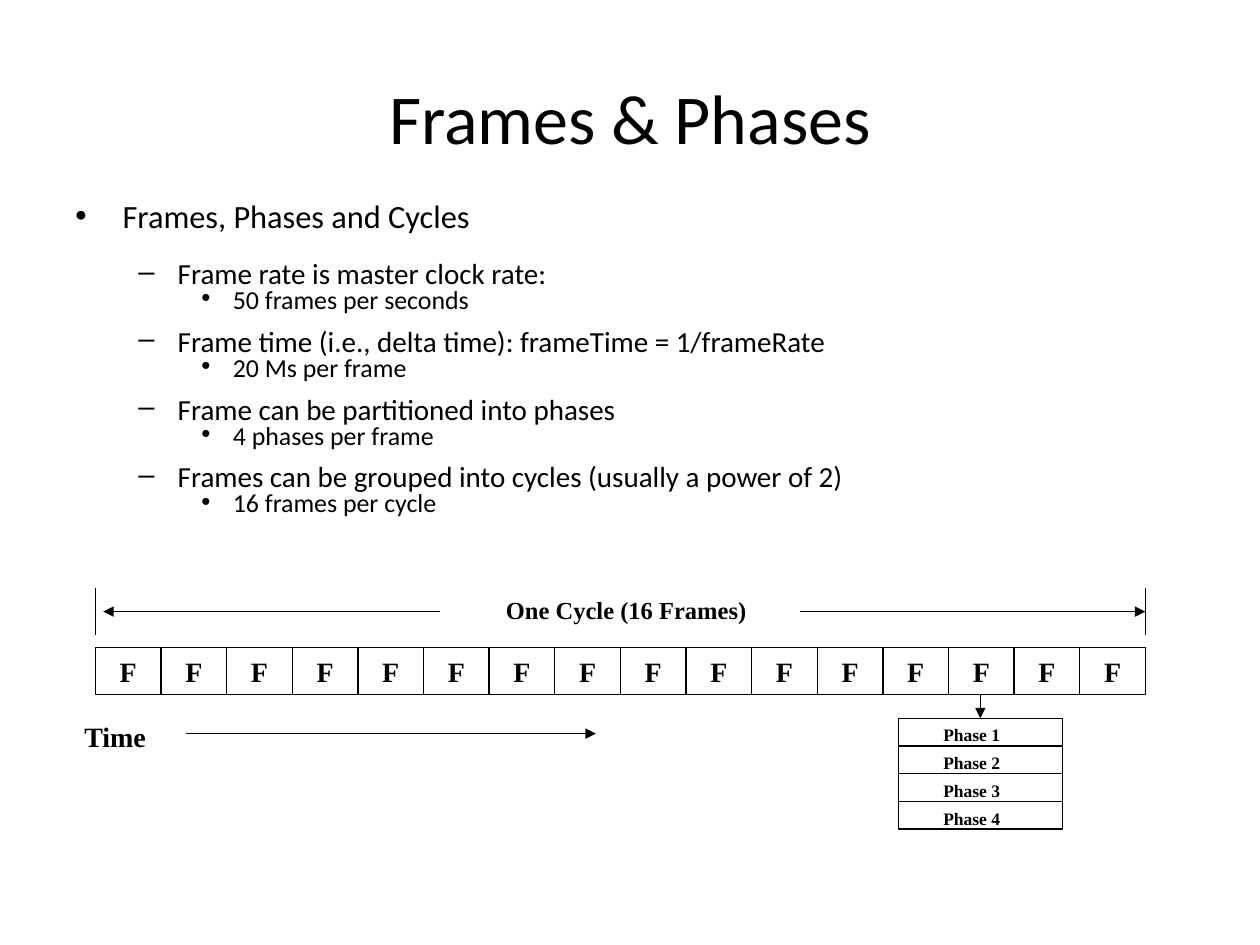
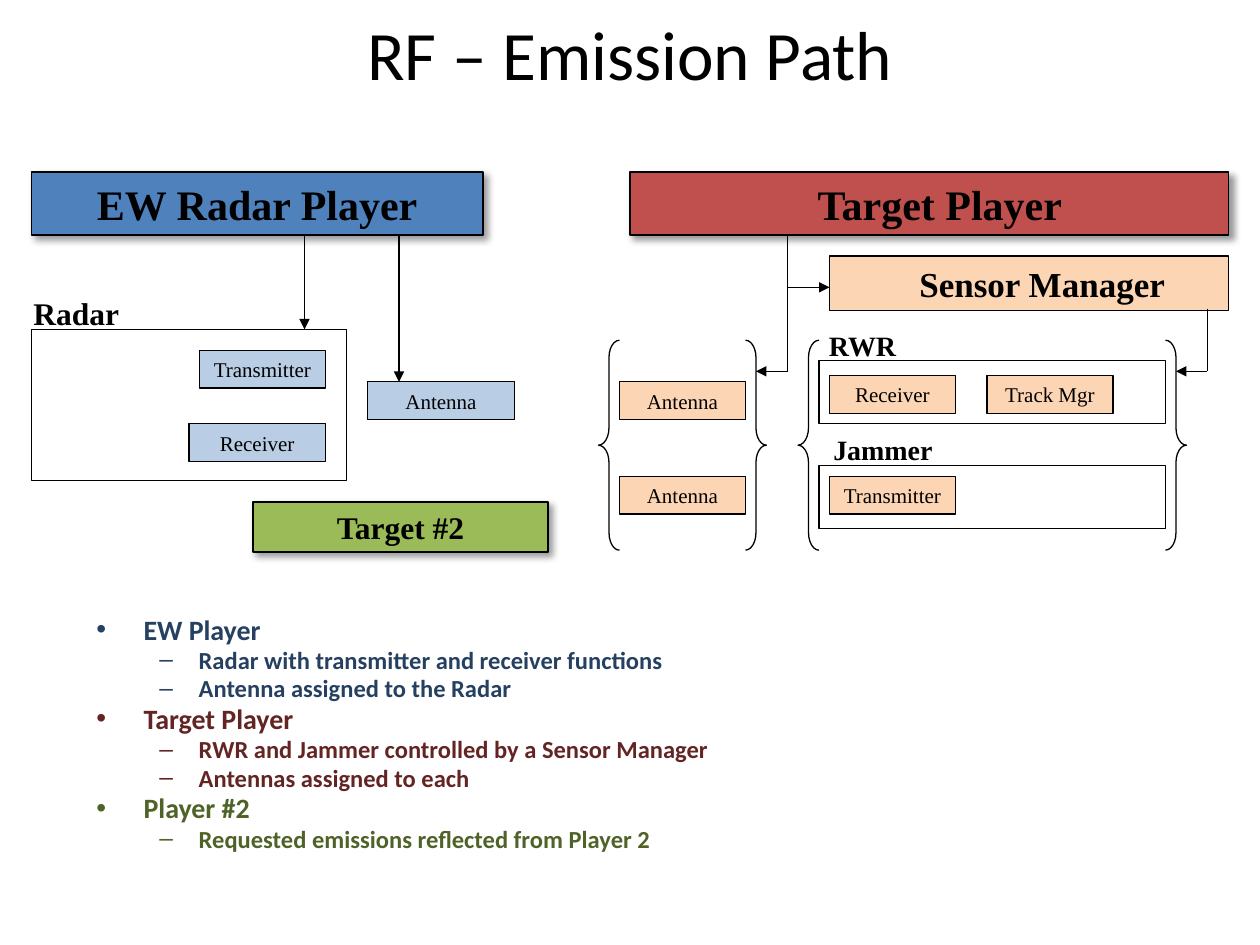
import pptx
import pptx.dml.color
import pptx.enum.shapes
import pptx.enum.text
import pptx.oxml
import pptx.oxml.ns
import pptx.util

Pt = pptx.util.Pt
SHAPE = pptx.enum.shapes.MSO_SHAPE
ALIGN = pptx.enum.text.PP_ALIGN
ANCHOR = pptx.enum.text.MSO_ANCHOR

SANS, SERIF = "Calibri", "Times New Roman"
BLACK, WHITE = "000000", "FFFFFF"
BLUE, RED, GREEN = "4F81BD", "C0504D", "9BBB59"
PALE_BLUE, PALE_ORANGE = "B9CDE5", "FCD5B5"
NAVY, MAROON, OLIVE = "254061", "632523", "4F6228"

# Outline levels: bullet, left margin, hanging indent
LEVELS = [("•", 27, 27), ("–", 58.5, 22.5), ("•", 90, 18)]


def color(hex_text):
    return pptx.dml.color.RGBColor.from_string(hex_text)


def add_xml(parent, xml):
    namespaces = pptx.oxml.ns.nsdecls("a")
    parent.append(pptx.oxml.parse_xml(xml.replace(" ", f" {namespaces} ", 1)))


def write(frame, text, size=12, font=SERIF, bold=False, ink=BLACK, align=ALIGN.LEFT,
          level=None, spacing=1.0, before=0, first=True):
    """Write one paragraph, bulleted when it has an outline level."""
    paragraph = frame.paragraphs[0] if first else frame.add_paragraph()
    paragraph.alignment = align
    paragraph.line_spacing = spacing
    paragraph.space_before = Pt(before)
    run = paragraph.add_run()
    run.text = text
    run.font.name, run.font.size, run.font.bold = font, Pt(size), bold
    run.font.color.rgb = color(ink)
    if level is not None:
        bullet, margin, hanging = LEVELS[level]
        paragraph.level = level
        properties = paragraph._p.get_or_add_pPr()
        properties.set("marL", str(Pt(margin)))
        properties.set("indent", str(-Pt(hanging)))
        add_xml(properties, '<a:buFont typeface="Arial"/>')
        add_xml(properties, f'<a:buChar char="{bullet}"/>')


class Deck:
    def __init__(self):
        self.show = pptx.Presentation()
        self.show.slide_width, self.show.slide_height = Pt(720), Pt(540)
        self.slide = None

    def start(self, title, top, height, size=40):
        self.slide = self.show.slides.add_slide(self.show.slide_layouts[6])
        self.label(title, 36, top, 648, height, anchor=ANCHOR.MIDDLE,
                   size=size, font=SANS, align=ALIGN.CENTER)

    def frame(self, shape, anchor, left=7.2, top=3.6, bottom=3.6):
        frame = shape.text_frame
        frame.word_wrap = True
        frame.vertical_anchor = anchor
        frame.margin_left, frame.margin_top, frame.margin_bottom = Pt(left), Pt(top), Pt(bottom)
        return frame

    def textbox(self, x, y, width, height, anchor=ANCHOR.TOP, **insets):
        box = self.slide.shapes.add_textbox(Pt(x), Pt(y), Pt(width), Pt(height))
        return self.frame(box, anchor, **insets)

    def label(self, text, x, y, width, height, anchor=ANCHOR.TOP, left=7.2, top=3.6, **style):
        write(self.textbox(x, y, width, height, anchor, left=left, top=top), text, **style)

    def outline(self, items, x, y, width, height, top=3.6):
        frame = self.textbox(x, y, width, height, top=top)
        for index, (text, style) in enumerate(items):
            write(frame, text, font=SANS, first=index == 0, **style)

    def shape(self, kind, x, y, width, height, fill=None, weight=0.75):
        shape = self.slide.shapes.add_shape(kind, Pt(x), Pt(y), Pt(width), Pt(height))
        shape.shadow.inherit = False
        if fill:
            shape.fill.solid()
            shape.fill.fore_color.rgb = color(fill)
        else:
            shape.fill.background()
        shape.line.color.rgb = color(BLACK)
        shape.line.width = Pt(weight)
        return shape

    def box(self, text, x, y, width, height, fill, weight=0.75, left=7.2, **style):
        shape = self.shape(SHAPE.RECTANGLE, x, y, width, height, fill, weight)
        frame = self.frame(shape, ANCHOR.MIDDLE, left=left, top=0, bottom=0)
        write(frame, text, align=ALIGN.CENTER, **style)
        return shape

    def banner(self, text, x, y, width, height, fill, **style):
        shape = self.box(text, x, y, width, height, fill, weight=1, bold=True, **style)
        effects = shape._element.spPr.find(pptx.oxml.ns.qn("a:effectLst"))
        add_xml(effects, f'<a:outerShdw blurRad="{Pt(4)}" dist="{Pt(3)}" dir="2700000" '
                         'algn="tl" rotWithShape="0"><a:srgbClr val="000000">'
                         '<a:alpha val="40000"/></a:srgbClr></a:outerShdw>')

    def brace(self, kind, x):
        brace = self.shape(kind, x, 194.4, 12, 120)
        brace.adjustments[0], brace.adjustments[1] = 0.83, 0.5

    def line(self, x1, y1, x2, y2, arrow=False):
        line = self.slide.shapes.add_connector(
            pptx.enum.shapes.MSO_CONNECTOR.STRAIGHT, Pt(x1), Pt(y1), Pt(x2), Pt(y2))
        line.line.color.rgb = color(BLACK)
        line.line.width = Pt(0.75)
        if arrow:
            add_xml(line.line._get_or_add_ln(), '<a:tailEnd type="triangle"/>')
        add_xml(line._element.spPr, "<a:effectLst />")


def frames_and_phases(deck):
    deck.start("Frames & Phases", 21.6, 90)

    # Outline: each topic with one example
    topics = [
        ("Frame rate is master clock rate:", "50 frames per seconds"),
        ("Frame time (i.e., delta time): frameTime = 1/frameRate", "20 Ms per frame"),
        ("Frame can be partitioned into phases", "4 phases per frame"),
        ("Frames can be grouped into cycles (usually a power of 2)", "16 frames per cycle"),
    ]
    items = [("Frames, Phases and Cycles", dict(size=18.5, level=0))]
    for index, (topic, example) in enumerate(topics):
        gap = 12.6 if index else 18.8
        items.append((topic, dict(size=16.6, level=1, spacing=0.6, before=gap)))
        items.append((example, dict(size=14.8, level=2, spacing=0.6, before=3.5)))
    deck.outline(items, 36, 90, 648, 221.8, top=22)

    # Cycle of frames
    frame_count, frame_width, cycle_left = 16, 37.5, 54.5
    cycle_right = cycle_left + frame_count * frame_width
    for index in range(frame_count):
        deck.box("F", cycle_left + index * frame_width, 370, frame_width, 27, WHITE,
                 size=16, bold=True)
    for edge in (cycle_left, cycle_right):
        deck.line(edge, 363, edge, 336)
    deck.line(251.3, 349.5, 59, 349.5, arrow=True)
    deck.line(457.2, 349.5, cycle_right, 349.5, arrow=True)
    deck.label("One Cycle (16 Frames)", 282, 336.2, 156, 24, size=14, bold=True)

    # Time axis
    deck.label("Time", 36, 404, 93.6, 30, left=12.2, top=7.2, size=16, bold=True)
    deck.line(106.5, 419.2, 340.5, 419.2, arrow=True)

    # Phases of one frame
    phases_left, phases_top, phases_width, phase_height = 513.4, 410.4, 93.6, 15.84
    deck.line(560.2, 397, 560.2, phases_top, arrow=True)
    deck.shape(SHAPE.RECTANGLE, phases_left, phases_top, phases_width, 4 * phase_height, WHITE)
    for index in range(4):
        top = phases_top + index * phase_height
        if index:
            deck.line(phases_left, top, phases_left + phases_width, top)
        deck.label(f"Phase {index + 1}", 532, top, 66, phase_height, size=10, bold=True)


def emission_path(deck):
    deck.start("RF – Emission Path", 5.8, 48.2, size=39.6)

    # Outline, one colour for each player
    players = [
        ("EW Player", NAVY, ["Radar with transmitter and receiver functions",
                             "Antenna assigned to the Radar"]),
        ("Target Player", MAROON, ["RWR and Jammer controlled by a Sensor Manager",
                                   "Antennas assigned to each"]),
        ("Player #2", OLIVE, ["Requested emissions reflected from Player 2"]),
    ]
    items = []
    for player, ink, details in players:
        shared = dict(bold=True, ink=ink, spacing=0.8)
        items.append((player, dict(size=16, level=0, before=3.2 if items else 0, **shared)))
        items += [(detail, dict(size=14, level=1, before=2.8, **shared)) for detail in details]
    deck.outline(items, 48, 350, 648, 154)

    # Subsystem frames and their names
    deck.label("Radar", 12, 164.2, 72, 28.8, size=18, bold=True)
    deck.label("RWR", 462, 182.2, 72, 28.8, left=11.7, top=5.4, size=16, bold=True)
    deck.label("Jammer", 461, 243.4, 91, 28.8, left=15.2, size=16, bold=True)
    deck.shape(SHAPE.RECTANGLE, 18, 188.2, 180, 86.4)
    for top in (206.2, 266.2):
        deck.shape(SHAPE.RECTANGLE, 468, top, 198, 36)

    # Components
    components = [
        ("Transmitter", 114, 200.2, 72, PALE_BLUE),
        ("Receiver", 108, 242.2, 78, PALE_BLUE),
        ("Antenna", 210, 218.2, 84, PALE_BLUE),
        ("Antenna", 354, 218.2, 72, PALE_ORANGE),
        ("Antenna", 354, 272.2, 72, PALE_ORANGE),
        ("Receiver", 474, 214.6, 72, PALE_ORANGE),
        ("Track Mgr", 564, 214.6, 72, PALE_ORANGE),
        ("Transmitter", 474, 272.2, 72, PALE_ORANGE),
    ]
    for name, x, y, width, fill in components:
        deck.box(name, x, y, width, 21.6, fill)

    # Braces around the antennas and the sensors
    for left, right in ((342, 426), (456, 666)):
        deck.brace(SHAPE.LEFT_BRACE, left)
        deck.brace(SHAPE.RIGHT_BRACE, right)

    # Players and sensor manager
    deck.banner("EW Radar Player", 18, 98.2, 258, 36, BLUE, size=24)
    deck.banner("Target Player", 360, 98.2, 342, 36, RED, size=24, left=19.2)
    deck.banner("Target #2", 144.6, 286.8, 168.6, 28.8, GREEN, size=18)
    deck.box("Sensor Manager", 474, 146.4, 228, 31, PALE_ORANGE, weight=1, left=22.2,
             size=20, bold=True)

    # Assignments
    deck.line(174, 134.2, 174, 188.2, arrow=True)
    deck.line(228, 134.2, 228, 218.2, arrow=True)
    deck.line(450, 134.2, 450, 212.2)
    deck.line(450, 164.2, 474, 164.2, arrow=True)
    deck.line(690, 176.4, 690, 212.2)
    for x in (450, 690):
        deck.line(x, 212.2, x - 18, 212.2, arrow=True)


def main():
    deck = Deck()
    frames_and_phases(deck)
    emission_path(deck)
    deck.show.save("out.pptx")


if __name__ == "__main__":
    main()
